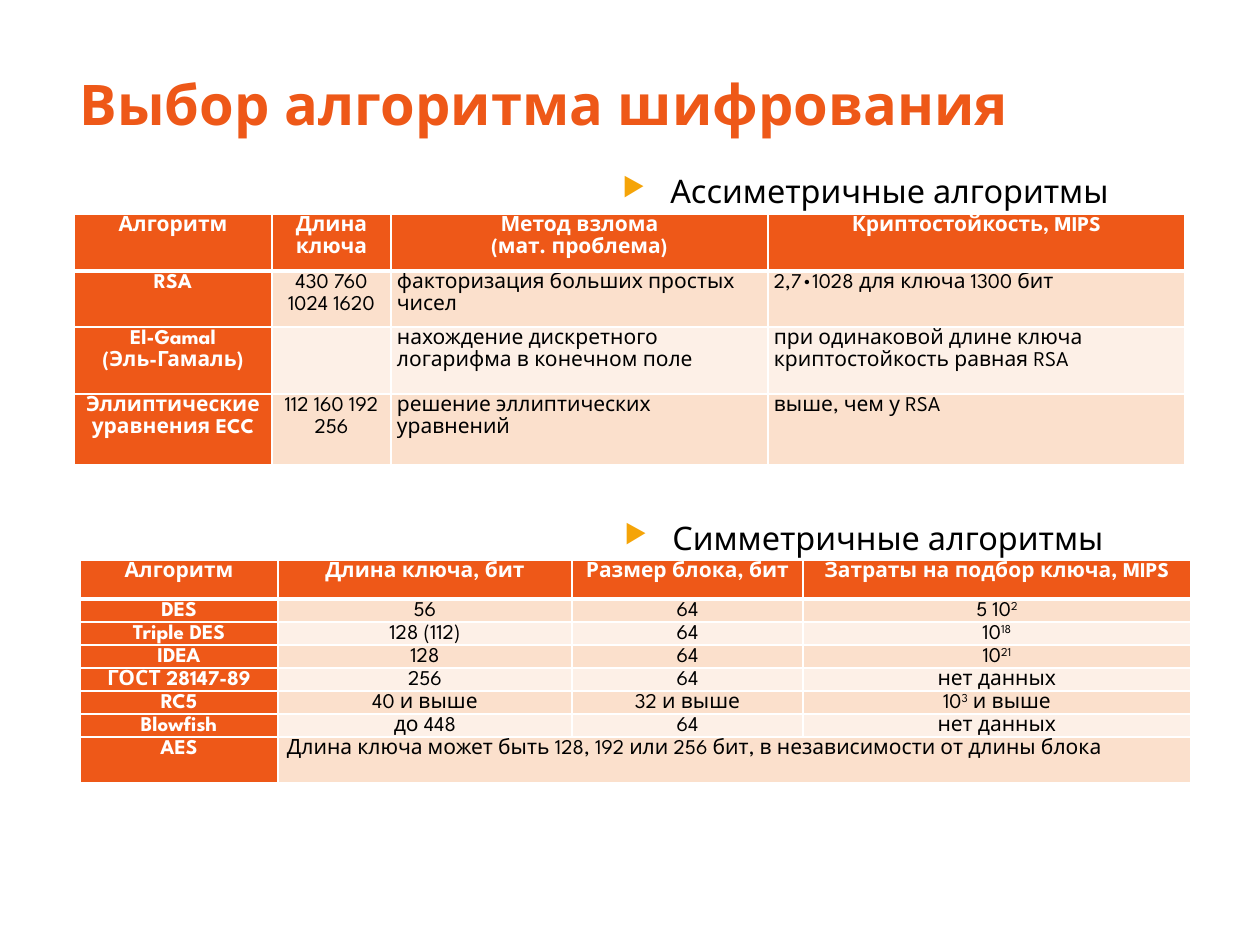
from lxml.etree import SubElement
from pptx import Presentation
from pptx.dml.color import RGBColor
from pptx.enum.text import MSO_ANCHOR, MSO_AUTO_SIZE, PP_ALIGN
from pptx.oxml.ns import qn
from pptx.util import Pt

PX = 914400 // 126
FONT = "League Spartan"
ORANGE = RGBColor(0xEE, 0x58, 0x18)
AMBER = RGBColor(0xF5, 0xA4, 0x08)
PEACH = RGBColor(0xFB, 0xE0, 0xCC)
CREAM = RGBColor(0xFD, 0xF0, 0xE7)
WHITE = RGBColor(0xFF, 0xFF, 0xFF)
BLACK = RGBColor(0x00, 0x00, 0x00)


def style_font(font, size, color, bold=False):
    font.name = FONT
    font.size = Pt(size)
    font.bold = bold
    font.color.rgb = color


def set_borders(cell, top, bottom):
    properties = cell._tc.get_or_add_tcPr()
    for tag, width in (("a:lnL", 1), ("a:lnR", 1), ("a:lnT", top), ("a:lnB", bottom)):
        line = SubElement(properties, qn(tag), w=str(Pt(width)))
        fill = SubElement(line, qn("a:solidFill"))
        SubElement(fill, qn("a:srgbClr"), val=str(WHITE))


presentation = Presentation()
presentation.slide_width = 1260 * PX
presentation.slide_height = 945 * PX
slide = presentation.slides.add_slide(presentation.slide_layouts[5])

# Title
title = slide.shapes.title
title.left, title.top, title.width, title.height = 67 * PX, 63 * PX, 971 * PX, 193 * PX
text_frame = title.text_frame
text_frame.text = "Выбор алгоритма шифрования"
text_frame.vertical_anchor = MSO_ANCHOR.TOP
text_frame.auto_size = MSO_AUTO_SIZE.NONE
paragraph = text_frame.paragraphs[0]
paragraph.alignment = PP_ALIGN.LEFT
style_font(paragraph.runs[0].font, 32, ORANGE, True)

# Tables: ^ marks start and end a superscript, \v breaks a line
asymmetric = [
    ["Алгоритм", "Длина ключа", "Метод взлома\v(мат. проблема)", "Криптостойкость, MIPS"],
    ["RSA", "430 760 1024 1620", "факторизация больших простых чисел",
     "2,7•1028 для ключа 1300 бит"],
    ["El-Gamal\v(Эль-Гамаль)", "", "нахождение дискретного логарифма в конечном поле",
     "при одинаковой длине ключа криптостойкость равная RSA"],
    ["Эллиптические уравнения ECC", "112 160 192 256", "решение эллиптических уравнений",
     "выше, чем у RSA"],
]
symmetric = [
    ["Алгоритм", "Длина ключа, бит", "Размер блока, бит", "Затраты на подбор ключа, MIPS"],
    ["DES", "56", "64", "5 10^2^"],
    ["Triple DES", "128 (112)", "64", "10^18^"],
    ["IDEA", "128", "64", "10^21^"],
    ["ГОСТ 28147-89", "256", "64", "нет данных"],
    ["RC5", "40 и выше", "32 и выше", "10^3^ и выше"],
    ["Blowfish", "до 448", "64", "нет данных"],
    ["AES", "Длина ключа может быть 128, 192 или 256 бит, в независимости от длины блока",
     "", ""],
]
# data, left, top, column widths, row heights, side margin, left-aligned cells
tables = [
    (asymmetric, 74, 214, [198, 119, 377, 417], [57, 56, 67, 71], 6,
     [(row, column) for row in (1, 2, 3) for column in (2, 3)]),
    (symmetric, 80, 560, [198, 294, 231, 388], [39] + [23] * 6 + [46], 9, [(7, 1)]),
]
for data, left, top, widths, heights, margin, left_aligned in tables:
    table = slide.shapes.add_table(len(data), len(widths), left * PX, top * PX,
                                   sum(widths) * PX, sum(heights) * PX).table
    for column, width in zip(table.columns, widths):
        column.width = width * PX
    for row, height in zip(table.rows, heights):
        row.height = height * PX
    if data is symmetric:
        table.cell(7, 1).merge(table.cell(7, 3))

    for row_index, texts in enumerate(data):
        for column_index, text in enumerate(texts):
            cell = table.cell(row_index, column_index)
            is_heading = row_index == 0 or column_index == 0
            set_borders(cell, 3 if row_index == 1 else 1, 3 if row_index == 0 else 1)
            cell.fill.solid()
            band = PEACH if row_index % 2 else CREAM
            cell.fill.fore_color.rgb = ORANGE if is_heading else band
            cell.margin_left = cell.margin_right = margin * PX
            cell.margin_top = cell.margin_bottom = 0
            if not text:
                continue
            paragraph = cell.text_frame.paragraphs[0]
            is_left = (row_index, column_index) in left_aligned
            paragraph.alignment = PP_ALIGN.LEFT if is_left else PP_ALIGN.CENTER
            paragraph.line_spacing = 1.15
            if "^" not in text:
                paragraph.text = text
            else:
                for part_index, part in enumerate(text.split("^")):
                    if part:
                        run = paragraph.add_run()
                        run.text = part
                        if part_index % 2:
                            run._r.get_or_add_rPr().set("baseline", "30000")
            for run in paragraph.runs:
                style_font(run.font, 12, WHITE if is_heading else BLACK, is_heading)

# Bulleted captions above the tables
captions = [("Ассиметричные алгоритмы", 610, 165), ("Симметричные алгоритмы", 612, 512)]
for text, left, top in captions:
    caption = slide.shapes.add_textbox(left * PX, top * PX, 576 * PX, 50 * PX)
    text_frame = caption.text_frame
    text_frame.word_wrap = True
    text_frame.text = text
    paragraph = text_frame.paragraphs[0]
    properties = paragraph._p.get_or_add_pPr()
    properties.set("marL", str(48 * PX))
    properties.set("indent", str(-48 * PX))
    bullet_color = SubElement(properties, qn("a:buClr"))
    SubElement(bullet_color, qn("a:srgbClr"), val=str(AMBER))
    SubElement(properties, qn("a:buSzPct"), val="80000")
    SubElement(properties, qn("a:buChar"), char="▶")
    paragraph.space_after = Pt(6)
    style_font(paragraph.runs[0].font, 18.5, BLACK)

presentation.save("out.pptx")
